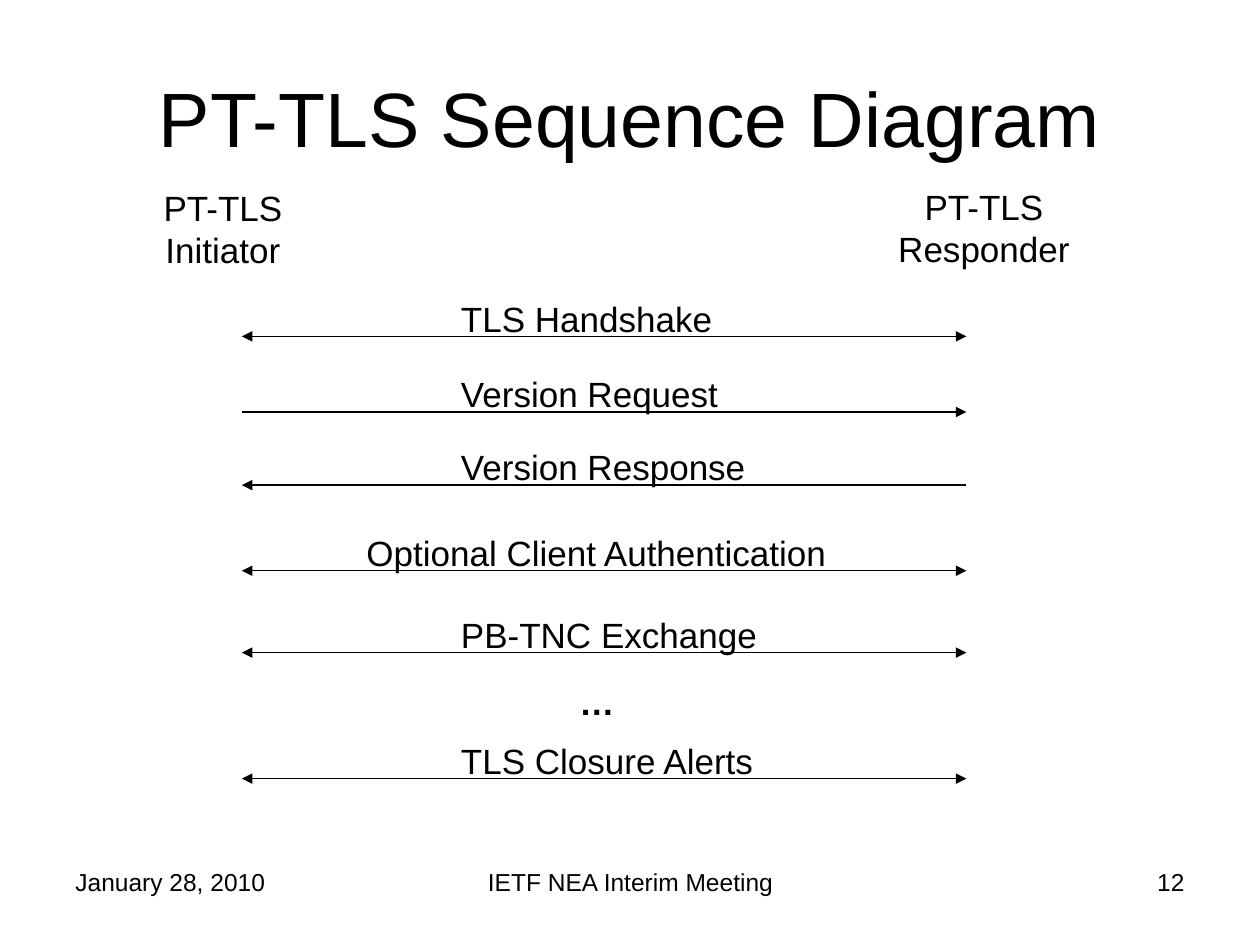
from lxml import etree
from pptx import Presentation
from pptx.dml.color import RGBColor
from pptx.enum.shapes import MSO_CONNECTOR as Connector
from pptx.enum.text import MSO_ANCHOR as Anchor, MSO_AUTO_SIZE as AutoSize, PP_ALIGN as Align
from pptx.oxml.ns import qn
from pptx.util import Inches, Pt

COLORS = {"ink": "000000", "paper": "FFFFFF"}
FONT = "Arial"
LABEL_RISE = 0.36
LABEL_HEIGHT = 0.43

# label, label left, label width, arrow height on the slide, head at initiator, head at responder
MESSAGES = [
    ("TLS Handshake", 3.56, 2.22, 2.67, True, True),
    ("Version Request", 3.56, 2.28, 3.27, False, True),
    ("Version Response", 3.56, 2.49, 3.85, True, False),
    ("Optional Client Authentication", 2.81, 3.88, 4.53, True, True),
    ("PB-TNC Exchange", 3.56, 2.57, 5.18, True, True),
    ("TLS Closure Alerts", 3.56, 2.55, 6.18, True, True),
]


def write_lines(frame, lines, size, align, bold=False):
    for index, line in enumerate(lines):
        para = frame.paragraphs[0] if index == 0 else frame.add_paragraph()
        para.alignment = align
        span = para.add_run()
        span.text = line
        span.font.name = FONT
        span.font.size = Pt(size)
        span.font.bold = bold
        span.font.color.rgb = RGBColor.from_string(COLORS["ink"])


def add_text(page, box, lines, size=20, align=Align.LEFT, bold=False, wrap=False):
    """Add a text box; one that does not wrap grows with its text."""
    frame = page.shapes.add_textbox(*map(Inches, box)).text_frame
    frame.word_wrap = wrap
    frame.auto_size = AutoSize.NONE if wrap else AutoSize.SHAPE_TO_FIT_TEXT
    write_lines(frame, lines, size, align, bold)


def add_title(page, box, text):
    title = page.shapes.title
    title.left, title.top, title.width, title.height = map(Inches, box)
    title.text_frame.vertical_anchor = Anchor.MIDDLE
    title.text_frame.auto_size = AutoSize.NONE
    write_lines(title.text_frame, [text], 44, Align.CENTER)


def add_arrow(page, left, right, y, at_left, at_right):
    arrow = page.shapes.add_connector(
        Connector.STRAIGHT, Inches(left), Inches(y), Inches(right), Inches(y))
    arrow.line.color.rgb = RGBColor.from_string(COLORS["ink"])
    arrow.line.width = Pt(0.75)
    outline = arrow.line._get_or_add_ln()
    for tag, wanted in (("a:headEnd", at_left), ("a:tailEnd", at_right)):
        if wanted:
            etree.SubElement(outline, qn(tag), type="triangle")
    etree.SubElement(arrow._element.spPr, qn("a:effectLst"))


def add_sequence(page, left, right):
    """Draw the two parties and the messages between their lifelines."""
    add_text(page, (1.19, 1.43, 1.16, 0.77), ["PT-TLS", "Initiator"], align=Align.CENTER)
    add_text(page, (7.03, 1.42, 1.56, 0.77), ["PT-TLS", "Responder"], align=Align.CENTER)
    for label, label_left, width, y, at_left, at_right in MESSAGES:
        add_arrow(page, left, right, y, at_left, at_right)
        add_text(page, (label_left, y - LABEL_RISE, width, LABEL_HEIGHT), [label])
    add_text(page, (4.5, 5.35, 0.48, LABEL_HEIGHT), ["…"], bold=True)


def add_footer(page, top, height):
    for left, width, text, align in (
        (0.5, 2.33, "January 28, 2010", Align.LEFT),
        (3.42, 3.17, "IETF NEA Interim Meeting", Align.CENTER),
        (7.17, 2.33, "12", Align.RIGHT),
    ):
        add_text(page, (left, top, width, height), [text], 14, align, wrap=True)


def main():
    deck = Presentation()
    deck.slide_width, deck.slide_height = Inches(10), Inches(7.5)
    page = deck.slides.add_slide(deck.slide_layouts[5])
    page.background.fill.solid()
    page.background.fill.fore_color.rgb = RGBColor.from_string(COLORS["paper"])
    add_title(page, (0.5, 0.3, 9, 1.25), "PT-TLS Sequence Diagram")
    add_sequence(page, 1.92, 7.67)
    add_footer(page, 6.83, 0.52)
    deck.save("out.pptx")


if __name__ == "__main__":
    main()
